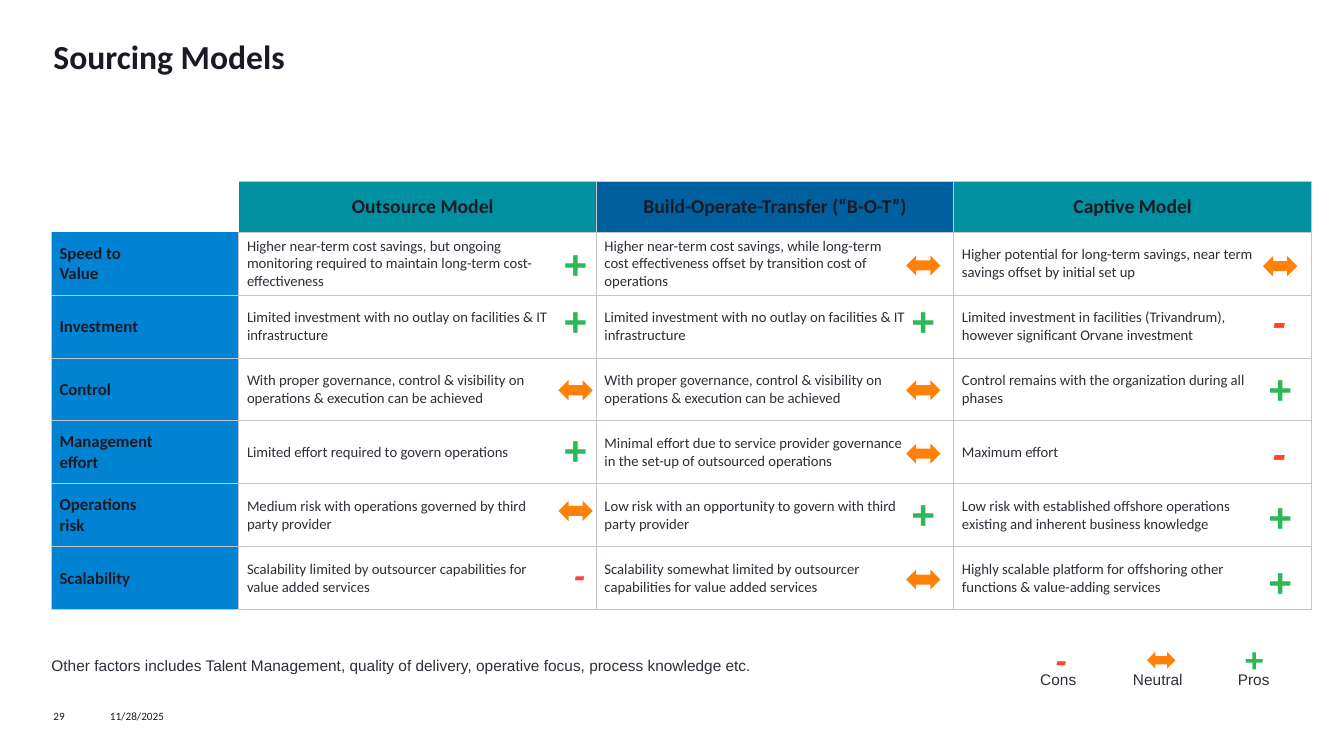
from dataclasses import dataclass
from enum import Enum
from typing import Optional

from lxml import etree
from pptx import Presentation
from pptx import util as u
from pptx.dml.color import RGBColor
from pptx.enum import shapes, text
from pptx.oxml import ns

INK = RGBColor(0x1A, 0x1A, 0x24)
BODY = RGBColor(0x2E, 0x2E, 0x38)
TEAL = RGBColor(0x00, 0x90, 0xA0)
NAVY = RGBColor(0x00, 0x5F, 0x9E)
BLUE = RGBColor(0x00, 0x83, 0xD3)
RED = RGBColor(0xFF, 0x41, 0x36)
GREEN = RGBColor(0x2D, 0xB7, 0x57)
ORANGE = RGBColor(0xFF, 0x81, 0x0A)
BORDER = RGBColor(0xC4, 0xC4, 0xCD)

SLIDE_WIDTH, SLIDE_HEIGHT = u.Inches(13.333), u.Inches(7.5)

# Table grid, in percent of the slide's width and height
TABLE_LEFT, TABLE_TOP = 3.83, 24
LABEL_COLUMN, MODEL_COLUMN = 13.95, 26.6
HEADER_ROW, FACTOR_ROW = 6.7, 8.33
MARK_CENTERS = (42.83, 68.7, 95.25)
LEGEND_CENTER, LEGEND_TOP = 87.33, 89.07


class Mark(Enum):
    CON = "-"
    NEUTRAL = "↔"
    PRO = "+"


@dataclass
class Model:
    name: str
    fill: RGBColor
    right_margin: float = 0.75


@dataclass
class Rating:
    note: str
    mark: Mark
    down: float = 0
    right: float = 0
    size: float = 29


@dataclass
class Factor:
    name: str
    ratings: tuple[Rating, Rating, Rating]


@dataclass
class LegendEntry:
    label: str
    mark: Mark
    center: float
    left: float


MODELS = (
    Model("Outsource Model", TEAL, right_margin=0),
    Model("Build-Operate-Transfer (“B-O-T”)", NAVY),
    Model("Captive Model", TEAL),
)
LOW_OUTLAY = "Limited investment with no outlay on facilities & IT infrastructure"
GOVERNED = "With proper governance, control & visibility on operations & execution can be achieved"
FACTORS = (
    Factor("Speed to\nValue", (
        Rating("Higher near-term cost savings, but ongoing monitoring required to maintain "
               "long-term cost-effectiveness", Mark.PRO, 0.25),
        Rating("Higher near-term cost savings, while long-term cost effectiveness offset by "
               "transition cost of operations", Mark.NEUTRAL, 0.25),
        Rating("Higher potential for long-term savings, near term savings offset by initial set up",
               Mark.NEUTRAL, 0.35))),
    Factor("Investment", (
        Rating(LOW_OUTLAY, Mark.PRO, -0.6),
        Rating(LOW_OUTLAY, Mark.PRO, -0.6),
        Rating("Limited investment in facilities (Trivandrum), however significant Orvane investment",
               Mark.CON, -0.6))),
    Factor("Control", (
        Rating(GOVERNED, Mark.NEUTRAL, 0.1),
        Rating(GOVERNED, Mark.NEUTRAL, 0.1),
        Rating("Control remains with the organization during all phases", Mark.PRO, 0.1))),
    Factor("Management\neffort", (
        Rating("Limited effort required to govern operations", Mark.PRO, -0.2),
        Rating("Minimal effort due to service provider governance in the set-up of outsourced "
               "operations", Mark.NEUTRAL, 0.15),
        Rating("Maximum effort", Mark.CON, 0.2))),
    Factor("Operations\nrisk", (
        Rating("Medium risk with operations governed by third party provider", Mark.NEUTRAL, -0.6),
        Rating("Low risk with an opportunity to govern with third party provider", Mark.PRO, -0.1),
        Rating("Low risk with established offshore operations existing and inherent business "
               "knowledge", Mark.PRO, 0.3))),
    Factor("Scalability", (
        Rating("Scalability limited by outsourcer capabilities for value added services",
               Mark.CON, -0.5, right=0.45, size=24),
        Rating("Scalability somewhat limited by outsourcer capabilities for value added services",
               Mark.NEUTRAL, 0.15),
        Rating("Highly scalable platform for offshoring other functions & value-adding services",
               Mark.PRO, 0.6))),
)
LEGEND = (
    LegendEntry("Cons", Mark.CON, 79.1, 77.4),
    LegendEntry("Neutral", Mark.NEUTRAL, 86.4, 84.3),
    LegendEntry("Pros", Mark.PRO, 93.5, 92.1),
)


def across(percent: float) -> int:
    return round(SLIDE_WIDTH * percent / 100)


def down(percent: float) -> int:
    return round(SLIDE_HEIGHT * percent / 100)


def write(frame, words: str, *, size: float, color: RGBColor, font: str = "Calibri",
          bold: bool = False, italic: bool = False, spacing: Optional[float] = None,
          align=text.PP_ALIGN.LEFT) -> None:
    frame.text = words
    frame.word_wrap = True
    for paragraph in frame.paragraphs:
        paragraph.alignment = align
        paragraph.line_spacing = spacing
        for run in paragraph.runs:
            run.font.name, run.font.size = font, u.Pt(size)
            run.font.bold, run.font.italic = bold, italic
            run.font.color.rgb = color


def add_text(slide, left: float, top: float, width: float, height: float, words: str,
             top_margin: float = 0, **style) -> None:
    frame = slide.shapes.add_textbox(across(left), down(top), across(width), down(height)).text_frame
    frame.margin_left = frame.margin_right = frame.margin_bottom = 0
    frame.margin_top = down(top_margin)
    write(frame, words, **style)


def add_mark(slide, mark: Mark, center: float, middle: float, size: float = 29) -> None:
    if mark is Mark.NEUTRAL:
        width, height = 2.55 * size / 29, 2.67 * size / 29
        arrow = slide.shapes.add_shape(
            shapes.MSO_SHAPE.LEFT_RIGHT_ARROW, across(center - width / 2),
            down(middle - height / 2), across(width), down(height))
        arrow.shadow.inherit = False
        arrow.fill.solid()
        arrow.fill.fore_color.rgb = ORANGE
        arrow.line.fill.background()
        return
    width, color = (1.88, GREEN) if mark is Mark.PRO else (1.13, RED)
    height = 6 * size / 29
    add_text(slide, center - width / 2, middle - height / 2, width, height, mark.value,
             top_margin=0.53, size=size, color=color, font="Arial", bold=True, italic=True,
             spacing=0.85)


def format_cell(cell, fill: Optional[RGBColor], left: float, right: float, vertical: float,
                hidden_edges: str = "") -> None:
    cell.vertical_anchor = text.MSO_ANCHOR.MIDDLE
    cell.margin_left, cell.margin_right = across(left), across(right)
    cell.margin_top = cell.margin_bottom = down(vertical)
    if fill is None:
        cell.fill.background()
    else:
        cell.fill.solid()
        cell.fill.fore_color.rgb = fill
    properties = cell._tc.get_or_add_tcPr()
    for index, edge in enumerate("LRTB"):
        line = etree.Element(ns.qn(f"a:ln{edge}"), w=str(u.Pt(0.75)))
        if edge in hidden_edges:
            etree.SubElement(line, ns.qn("a:noFill"))
        else:
            solid = etree.SubElement(line, ns.qn("a:solidFill"))
            etree.SubElement(solid, ns.qn("a:srgbClr"), val=str(BORDER))
        properties.insert(index, line)


def add_comparison(slide) -> None:
    table = slide.shapes.add_table(
        len(FACTORS) + 1, len(MODELS) + 1, across(TABLE_LEFT), down(TABLE_TOP),
        across(LABEL_COLUMN + MODEL_COLUMN * len(MODELS)),
        down(HEADER_ROW + FACTOR_ROW * len(FACTORS))).table
    table.first_row = table.horz_banding = False
    for index, column in enumerate(table.columns):
        column.width = across(MODEL_COLUMN if index else LABEL_COLUMN)
    for index, row in enumerate(table.rows):
        row.height = down(FACTOR_ROW if index else HEADER_ROW)

    # Header row
    format_cell(table.cell(0, 0), None, 0.75, 0.75, 0.67, hidden_edges="LRTB")
    for index, model in enumerate(MODELS, 1):
        cell = table.cell(0, index)
        format_cell(cell, model.fill, 0.75, model.right_margin, 1.07, "L" if index == 1 else "")
        write(cell.text_frame, model.name, size=14, color=INK, bold=True,
              align=text.PP_ALIGN.CENTER)

    # Factor rows with their marks
    for index, factor in enumerate(FACTORS, 1):
        label = table.cell(index, 0)
        format_cell(label, BLUE, 0.6, 0.75, 0.67, "T" if index == 1 else "")
        write(label.text_frame, factor.name, size=12, color=INK, bold=True)
        middle = TABLE_TOP + HEADER_ROW + FACTOR_ROW * (index - 0.5)
        for column, (rating, center) in enumerate(zip(factor.ratings, MARK_CENTERS), 1):
            cell = table.cell(index, column)
            format_cell(cell, None, 0.6, 3.53, 0.67)
            write(cell.text_frame, rating.note, size=10.5, color=BODY)
            add_mark(slide, rating.mark, center + rating.right, middle + rating.down, rating.size)


def main() -> None:
    presentation = Presentation()
    presentation.slide_width, presentation.slide_height = SLIDE_WIDTH, SLIDE_HEIGHT
    slide = presentation.slides.add_slide(presentation.slide_layouts[6])
    add_text(slide, 3.98, 5.6, 92.1, 9.33, "Sourcing Models", size=24, color=INK, bold=True,
             spacing=0.85)
    add_comparison(slide)

    # Remark and legend
    small = dict(size=11, color=BODY, font="Arial", spacing=0.85)
    add_text(slide, TABLE_LEFT, 87.2, 61.6, 2.13,
             "Other factors includes Talent Management, quality of delivery, operative focus, "
             "process knowledge etc.", **small)
    for entry in LEGEND:
        add_mark(slide, entry.mark, entry.center, LEGEND_CENTER, size=24)
        add_text(slide, entry.left, LEGEND_TOP, 4.13, 2.1, entry.label, **small)

    # Footer
    add_text(slide, 3.98, 93.87, 4.2, 1.73, "29", size=8, color=INK)
    add_text(slide, 8.18, 93.87, 10.5, 1.73, "11/28/2025", size=8, color=INK)
    presentation.save("out.pptx")


if __name__ == "__main__":
    main()
